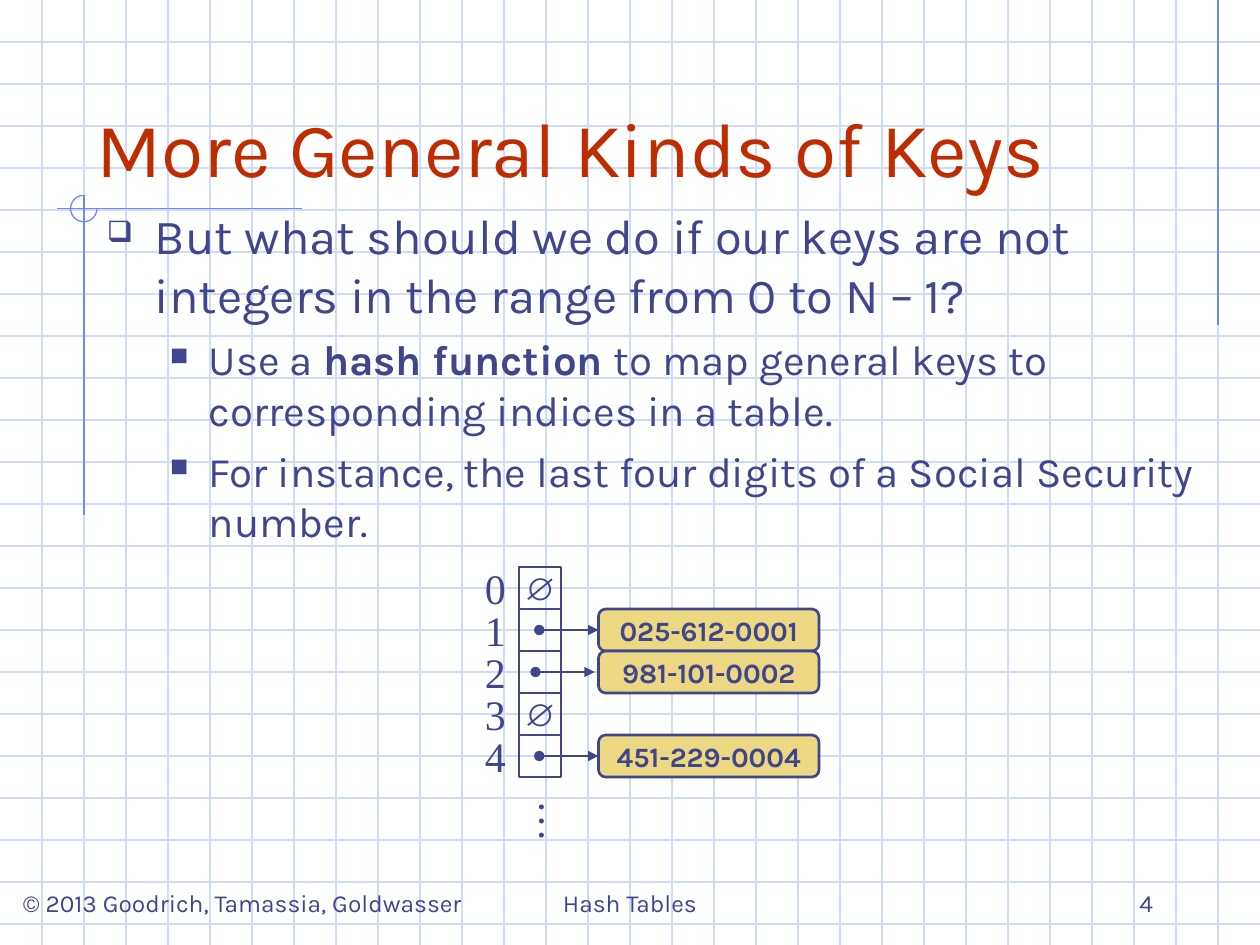
"""Build a slide on hashing general keys, laid out on a grid of third-inch cells."""
from dataclasses import dataclass
from typing import Optional

from lxml.etree import SubElement
from pptx import Presentation
from pptx.dml.color import RGBColor
from pptx.enum.shapes import MSO_CONNECTOR as Link, MSO_SHAPE as Preset
from pptx.enum.text import MSO_ANCHOR as Anchor, PP_ALIGN as Align
from pptx.oxml.ns import qn
from pptx.util import Inches, Pt

COLORS = {"grid": "CFDBFD", "frame": "6F89F7", "title": "BE2D00",
          "ink": "40458C", "entry": "ECD882"}
COLUMNS, ROWS = 30, 22.5
TABLE_LEFT, TABLE_TOP = 12.36, 13.5
ENTRY_LEFT, ENTRY_WIDTH = 14.25, 5.25


@dataclass(frozen=True)
class Area:
    """A rectangle in grid columns and rows."""
    left: float
    top: float
    width: float
    height: float


@dataclass(frozen=True)
class Style:
    """How a text looks and sits in its box."""
    size: float
    font: str = "Karla"
    color: str = "ink"
    bold: bool = False
    align: Align = Align.LEFT
    anchor: Anchor = Anchor.TOP
    wrap: bool = True


@dataclass(frozen=True)
class Bullet:
    """A bulleted paragraph; spans alternate between plain and bold."""
    spans: tuple
    size: int
    mark: str
    margin: float
    hanging: float
    level: int = 0
    before: int = 0


@dataclass(frozen=True)
class Slot:
    """A row of the hash table, with its entry if it holds one."""
    index: int
    entry: Optional[str] = None
    shift: float = 0


BULLETS = (
    Bullet(("But what should we do if our keys are not integers in the range from 0 to N – 1?",),
           28, "❑", 0.38, 0.38),
    Bullet(("Use a ", "hash function ", "to map general keys to corresponding indices in a table."),
           24, "■", 0.81, 0.31, 1, 6),
    Bullet(("For instance, the last four digits of a Social Security number.",),
           24, "■", 0.81, 0.31, 1, 6),
)
SLOTS = (Slot(0), Slot(1, "025-612-0001"), Slot(2, "981-101-0002", -0.09),
         Slot(3), Slot(4, "451-229-0004"))
FOOTERS = (
    ("© 2013 Goodrich, Tamassia, Goldwasser", 0.25, 11.75, Align.LEFT),
    ("Hash Tables", 10.25, 9.5, Align.CENTER),
    ("4", 21.5, 6.25, Align.RIGHT),
)
NUMERAL = Style(24, "Times New Roman", align=Align.CENTER, wrap=False)
EMPTY = Style(18, "Arial", align=Align.CENTER, anchor=Anchor.MIDDLE, wrap=False)
ENTRY = Style(16, bold=True, align=Align.CENTER, anchor=Anchor.MIDDLE, wrap=False)


def cells(count: float) -> int:
    """Turn a count of grid cells into a length."""
    return Inches(count / 3)


def rgb(name: str) -> RGBColor:
    """Look up a colour."""
    return RGBColor.from_string(COLORS[name])


def place(area: Area) -> tuple:
    """Turn an area into left, top, width and height."""
    return tuple(cells(n) for n in (area.left, area.top, area.width, area.height))


def format_font(font, style: Style) -> None:
    """Apply a style to a font."""
    font.name, font.size, font.bold = style.font, Pt(style.size), style.bold
    font.color.rgb = rgb(style.color)


def write(shape, text: str, style: Style) -> None:
    """Put one styled paragraph in a shape."""
    frame = shape.text_frame
    frame.text = text
    frame.word_wrap, frame.vertical_anchor = style.wrap, style.anchor
    para = frame.paragraphs[0]
    para.alignment = style.align
    format_font(para.runs[0].font, style)


def add_text(page, area: Area, text: str, style: Style):
    """Add a text box."""
    box = page.shapes.add_textbox(*place(area))
    write(box, text, style)
    return box


def add_line(page, start: tuple, end: tuple, color: str, width: float = 0.75):
    """Add a straight line between two grid points."""
    line = page.shapes.add_connector(Link.STRAIGHT, *map(cells, start + end))
    line.line.color.rgb, line.line.width = rgb(color), Pt(width)
    SubElement(line._element.spPr, qn("a:effectLst"))
    return line


def add_shape(page, preset: Preset, area: Area, color: str = "ink",
              width: float = 1.5, fill: Optional[str] = None):
    """Add an outlined preset shape, filled if a colour is given."""
    shape = page.shapes.add_shape(preset, *place(area))
    shape.shadow.inherit = False
    shape.line.color.rgb, shape.line.width = rgb(color), Pt(width)
    if fill:
        shape.fill.solid()
        shape.fill.fore_color.rgb = rgb(fill)
    else:
        shape.fill.background()
    return shape


def add_background(page) -> None:
    """Draw the graph paper and the corner frame."""
    for row in range(1, int(ROWS) + 1):
        add_line(page, (0, row), (COLUMNS, row), "grid")
    for column in range(1, COLUMNS):
        add_line(page, (column, 0), (column, ROWS), "grid")
    add_line(page, (29, 0), (29, 7.75), "frame")
    add_line(page, (7.2, 4.97), (1.35, 4.97), "frame")
    add_line(page, (2, 4.65), (2, 12.27), "frame")
    arc = add_shape(page, Preset.ARC, Area(1.68, 4.65, 0.63, 0.63), "frame", 0.75)
    arc.adjustments[0], arc.adjustments[1] = 0, 162


def add_bullets(page, area: Area) -> None:
    """Write the bulleted text."""
    frame = page.shapes.add_textbox(*place(area)).text_frame
    frame.word_wrap = True
    for number, bullet in enumerate(BULLETS):
        para = frame.add_paragraph() if number else frame.paragraphs[0]
        para.level = bullet.level
        props = para._p.get_or_add_pPr()
        props.set("marL", str(Inches(bullet.margin)))
        props.set("indent", str(-Inches(bullet.hanging)))
        tint = SubElement(props, qn("a:buClr"))
        SubElement(tint, qn("a:srgbClr"), val=COLORS["ink"])
        SubElement(props, qn("a:buSzPct"), val="60000")
        SubElement(props, qn("a:buChar"), char=bullet.mark)
        para.space_before = Pt(bullet.before)
        for position, text in enumerate(bullet.spans):
            span = para.add_run()
            span.text = text
            format_font(span.font, Style(bullet.size, bold=position % 2 == 1))


def add_slot(page, slot: Slot) -> None:
    """Draw one table row: label, cell, and pointer to its entry."""
    top = TABLE_TOP + slot.index
    cell = add_shape(page, Preset.RECTANGLE, Area(TABLE_LEFT, top, 1, 1))
    add_text(page, Area(11.25, top - 0.25, 1.08, 1.5), str(slot.index), NUMERAL)
    if slot.entry is None:
        write(cell, "∅", EMPTY)
        return
    entry = add_shape(page, Preset.ROUNDED_RECTANGLE,
                      Area(ENTRY_LEFT, top, ENTRY_WIDTH, 1), fill="entry")
    write(entry, slot.entry, ENTRY)
    middle = top + 0.5
    arrow = add_line(page, (12.84 + slot.shift, middle),
                     (ENTRY_LEFT + slot.shift, middle), "ink", 1.5)
    if not slot.shift:
        arrow.end_connect(entry, 1)
    stroke = arrow.line._get_or_add_ln()
    SubElement(stroke, qn("a:headEnd"), type="oval")
    SubElement(stroke, qn("a:tailEnd"), type="triangle")


def main() -> None:
    """Build and save the deck."""
    deck = Presentation()
    deck.slide_width, deck.slide_height = cells(COLUMNS), cells(ROWS)
    page = deck.slides.add_slide(deck.slide_layouts[6])
    add_background(page)
    add_text(page, Area(2, 1, 26.25, 3.75), "More General Kinds of Keys",
             Style(44, color="title", anchor=Anchor.BOTTOM))
    add_bullets(page, Area(2.25, 4.75, 26.75, 16.25))
    for text, left, width, align in FOOTERS:
        add_text(page, Area(left, 20.5, width, 1.5), text,
                 Style(14, align=align, anchor=Anchor.BOTTOM))
    for slot in SLOTS:
        add_slot(page, slot)
    add_text(page, Area(12.45, 18.81, 1.59, 1.5), "…", NUMERAL).rotation = 90
    deck.save("out.pptx")


if __name__ == "__main__":
    main()
